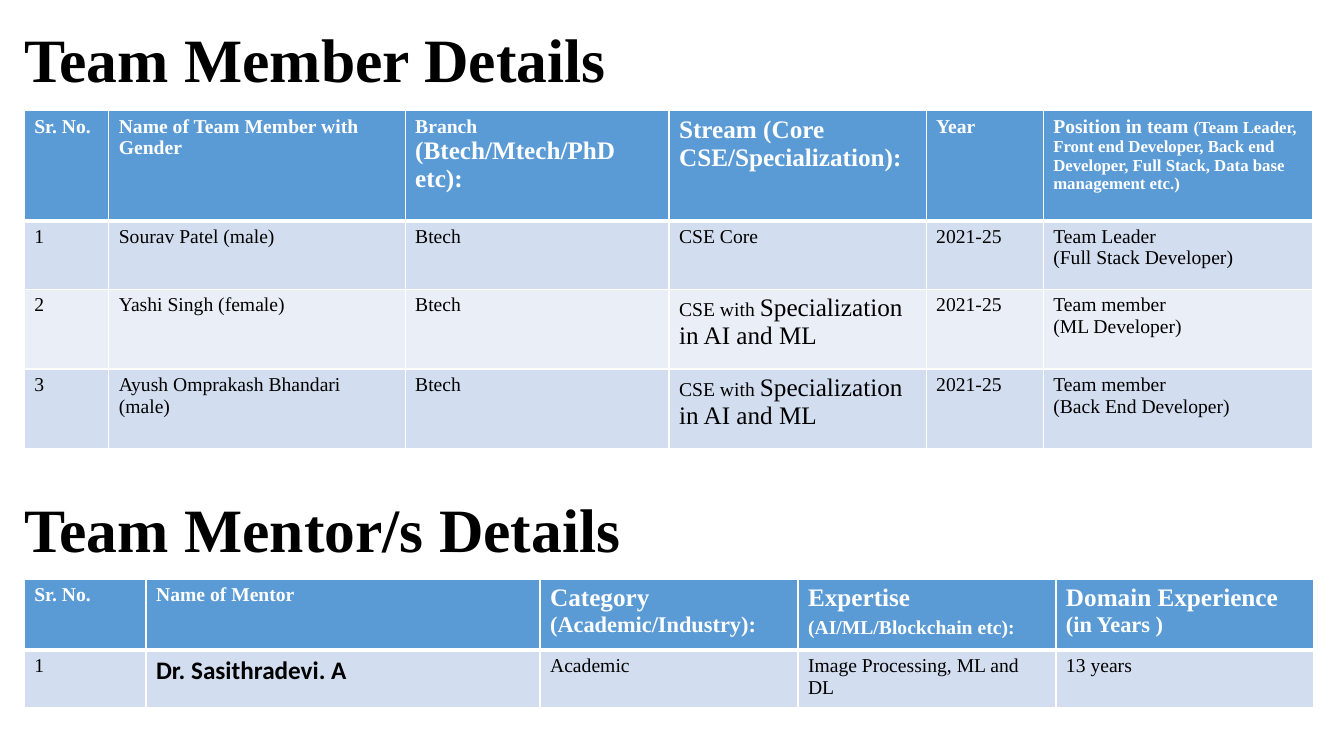
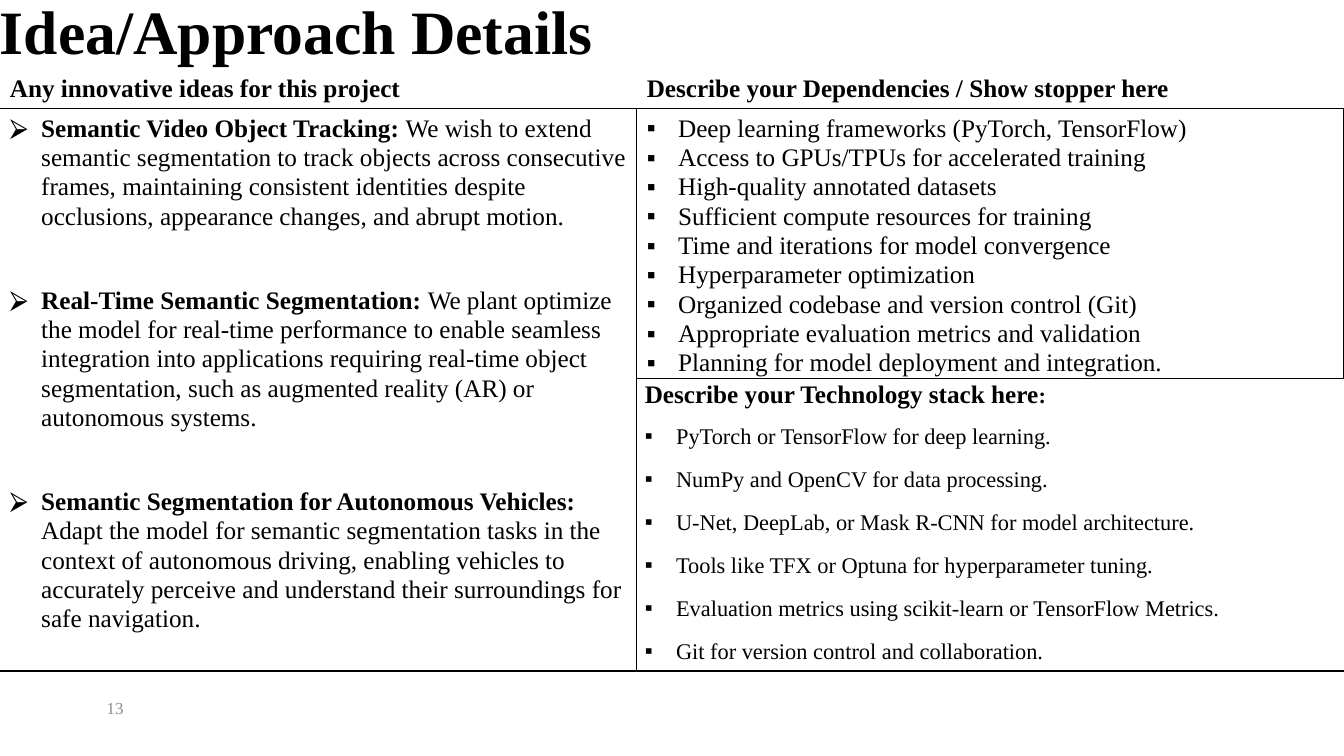
import pptx
import pptx.util
import pptx.dml.color
import pptx.enum.shapes
import pptx.enum.text
import pptx.oxml
import pptx.oxml.ns

Cm, Pt = pptx.util.Cm, pptx.util.Pt
Anchor = pptx.enum.text.MSO_ANCHOR

# Shared style
FONT = "Times New Roman"
BLACK, WHITE, GREY = "000000", "FFFFFF", "8C8C8C"
HEAD, BANDS = "5B9BD5", ("D2DEEF", "EAEFF7")
INSET = (0.25, 0.13, 0.25, 0.13)
INDENT = 0.79


def hue(code):
    return pptx.dml.color.RGBColor.from_string(code)


def add_node(tag, **attrs):
    node = pptx.oxml.parse_xml(f"<{tag} {pptx.oxml.ns.nsdecls('a')}/>")
    for key, val in attrs.items():
        node.set(key, str(val))
    return node


def write(frame, paras, size=18, color=BLACK, bold=False, font=FONT,
          lead=None, before=0, mark=None):
    """Fill a frame; a paragraph is a string or a list of strings and (text, format)."""
    for num, runs in enumerate(paras):
        para = frame.paragraphs[0] if num == 0 else frame.add_paragraph()
        para.alignment = pptx.enum.text.PP_ALIGN.LEFT
        if lead:
            para.line_spacing = lead
        para.space_before = Pt(before if num else 0)
        if mark:
            props = para._p.get_or_add_pPr()
            props.set("marL", str(Cm(INDENT)))
            props.set("indent", str(-Cm(INDENT)))
            props.append(add_node("a:buFont", typeface="Arial"))
            props.append(add_node("a:buChar", char=mark))
        for part in [runs] if isinstance(runs, str) else runs:
            words, own = (part, {}) if isinstance(part, str) else part
            run = para.add_run()
            run.text = words
            run.font.name = own.get("font", font)
            run.font.size = Pt(own.get("size", size))
            run.font.bold = own.get("bold", bold)
            run.font.color.rgb = hue(own.get("color", color))


class Deck:
    def __init__(self):
        self.prs = pptx.Presentation()
        self.prs.slide_width, self.prs.slide_height = Cm(33.87), Cm(19.05)
        self.slide = None

    def next(self):
        self.slide = self.prs.slides.add_slide(self.prs.slide_layouts[6])

    def frame(self, shape, inset, anchor):
        frame = shape.text_frame
        frame.word_wrap = True
        frame.vertical_anchor = anchor
        (frame.margin_left, frame.margin_top,
         frame.margin_right, frame.margin_bottom) = map(Cm, inset)
        return frame

    def text(self, place, paras, inset=INSET, anchor=Anchor.TOP, **style):
        shape = self.slide.shapes.add_textbox(*map(Cm, place))
        write(self.frame(shape, inset, anchor), paras, **style)

    def title(self, left, top, words):
        self.text((left, top, 18.4, 1.7), [words], (0, 0, 0, 0), Anchor.BOTTOM,
                  size=44, bold=True, lead=0.9)

    def label(self, left, words):
        self.text((left, 1.78, 14.3, 0.9), [words], bold=True, lead=0.9)

    def box(self, place, inset=INSET):
        shape = self.slide.shapes.add_shape(
            pptx.enum.shapes.MSO_SHAPE.RECTANGLE, *map(Cm, place))
        shape.shadow.inherit = False
        shape.fill.background()
        shape.line.color.rgb = hue(BLACK)
        shape.line.width = Pt(0.75)
        return self.frame(shape, inset, Anchor.TOP)

    def border(self, cell, head):
        sides = {"L": 1, "R": 1, "T": 1, "B": 3} if head else {"L": 1, "R": 1, "B": 1}
        props = cell._tc.get_or_add_tcPr()
        for num, (side, width) in enumerate(sides.items()):
            line = add_node(f"a:ln{side}", w=Pt(width))
            paint = add_node("a:solidFill")
            paint.append(add_node("a:srgbClr", val=WHITE))
            line.append(paint)
            props.insert(num, line)

    def table(self, left, top, cols, rows, cells):
        shape = self.slide.shapes.add_table(
            len(rows), len(cols), Cm(left), Cm(top), Cm(sum(cols)), Cm(sum(rows)))
        grid = shape.table
        for col, width in zip(grid.columns, cols):
            col.width = Cm(width)
        for row, height in zip(grid.rows, rows):
            row.height = Cm(height)
        for r, line in enumerate(cells):
            head = r == 0
            for c, paras in enumerate(line):
                cell = grid.cell(r, c)
                cell.fill.solid()
                cell.fill.fore_color.rgb = hue(HEAD if head else BANDS[(r - 1) % 2])
                self.border(cell, head)
                write(cell.text_frame, [paras] if isinstance(paras, str) else paras,
                      size=14, bold=head, color=WHITE if head else BLACK)


def big(words, size=18, **style):
    return words, dict(size=size, **style)


def team(deck):
    deck.next()
    deck.title(0.61, 0.71, "Team Member Details")
    stream = [["CSE with ", big("Specialization in AI and ML")]]
    people = [
        ("Sourav Patel (male)", "CSE Core", "Team Leader", "(Full Stack Developer)"),
        ("Yashi Singh (female)", stream, "Team member", "(ML Developer)"),
        ("Ayush Omprakash Bhandari (male)", stream, "Team member",
         "(Back End Developer)"),
    ]
    head = [
        "Sr. No.",
        "Name of Team Member with Gender",
        [["Branch ", big("(Btech/Mtech/PhD etc):")]],
        [[big("Stream (Core CSE/Specialization):")]],
        "Year",
        [["Position in team ",
          big("(Team Leader, Front end Developer, Back end Developer, "
              "Full Stack, Data base management etc.)", 12)]],
    ]
    body = [[str(num), name, "Btech", field, "2021-25", [role, job]]
            for num, (name, field, role, job) in enumerate(people, 1)]
    deck.table(0.61, 2.79, (2.13, 7.47, 6.65, 6.48, 2.95, 6.78),
               (2.77, 1.73, 2.01, 2.01), [head] + body)

    # Mentor
    deck.title(0.61, 12.55, "Team Mentor/s Details")
    deck.table(0.61, 14.6, (3.07, 9.93, 6.5, 6.5, 6.5), (1.65, 1.32), [
        ["Sr. No.", "Name of Mentor",
         [[big("Category "), big("(Academic/Industry):", 16)]],
         [[big("Expertise "), "(AI/ML/Blockchain etc):", big(" ")]],
         [[big("Domain Experience  "), big("(in Years )", 16)]]],
        ["1", [[big("Dr. Sasithradevi. A", font="Calibri", bold=True)]],
         "Academic", "Image Processing, ML and DL", "13 years"],
    ])


def idea(deck):
    deck.next()
    mid, top, low = 16.05, 2.74, 9.53
    deck.title(0, 0, "Idea/Approach Details")

    # Ideas
    ideas = [
        ("Semantic Video Object Tracking: ",
         "We wish to extend semantic segmentation to track objects across "
         "consecutive frames, maintaining consistent identities despite "
         "occlusions, appearance changes, and abrupt motion."),
        ("Real-Time Semantic Segmentation: ",
         "We plant optimize the model for real-time performance to enable "
         "seamless integration into applications requiring real-time object "
         "segmentation, such as augmented reality (AR) or autonomous systems."),
        ("Semantic Segmentation for Autonomous Vehicles: ",
         "Adapt the model for semantic segmentation tasks in the context of "
         "autonomous driving, enabling vehicles to accurately perceive and "
         "understand their surroundings for safe navigation."),
    ]
    write(deck.box((0, top, mid, 14.17)),
          [[big(name, bold=True), rest] for name, rest in ideas],
          lead=0.97, before=39, mark="⮚")
    deck.label(0, "Any innovative ideas for this project")
    deck.text((2.69, 17.58, 1.45, 0.69), ["13"], (0, 0, 0, 0), size=12, color=GREY)

    # Needs
    deck.label(mid, "Describe your Dependencies / Show stopper here")
    write(deck.box((mid, top, 17.81, low - top)), [
        "Deep learning frameworks (PyTorch, TensorFlow)",
        "Access to GPUs/TPUs for accelerated training",
        "High-quality annotated datasets",
        "Sufficient compute resources for training",
        "Time and iterations for model convergence",
        "Hyperparameter optimization",
        "Organized codebase and version control (Git)",
        "Appropriate evaluation metrics and validation",
        "Planning for model deployment and integration.",
    ], lead=0.97, mark="▪")

    # Tools, below their heading
    deck.text((mid, low, 17.81, 0.9),
              [["Describe your Technology stack here", big(":", 16)]],
              (0.2, 0, 0, 0), bold=True)
    write(deck.box((mid, low, 18.01, 7.38), (0.2, 1.11, 0, 0)), [
        "PyTorch or TensorFlow for deep learning.",
        "NumPy and OpenCV for data processing.",
        "U-Net, DeepLab, or Mask R-CNN for model architecture.",
        "Tools like TFX or Optuna for hyperparameter tuning.",
        "Evaluation metrics using scikit-learn or TensorFlow Metrics.",
        "Git for version control and collaboration.",
    ], size=16, before=11.5, mark="▪")


def main():
    deck = Deck()
    team(deck)
    idea(deck)
    deck.prs.save("out.pptx")


if __name__ == "__main__":
    main()
